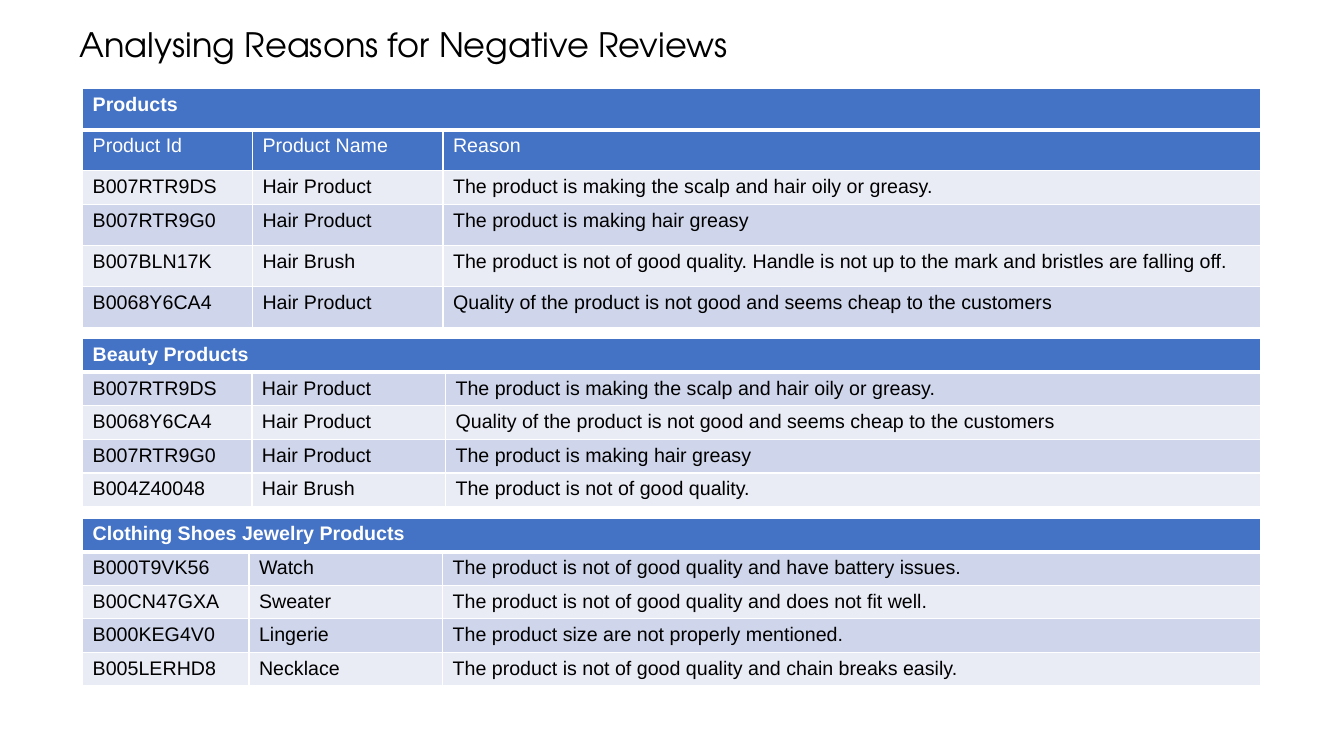
from pptx import Presentation
from pptx.dml.color import RGBColor
from pptx.enum.text import MSO_ANCHOR, MSO_AUTO_SIZE, PP_ALIGN
from pptx.oxml import parse_xml
from pptx.oxml.ns import nsdecls
from pptx.util import Pt

COLORS = {
    "header": "4472C4",
    "dark_band": "CFD5EA",
    "light_band": "E9EBF5",
    "white": "FFFFFF",
    "black": "000000",
}
TABLE_LEFT = 59.04
ROW_HEIGHT = 24
TALL_ROW_HEIGHT = 29.3

GREASY_SCALP = "The product is making the scalp and hair oily or greasy."
GREASY_HAIR = "The product is making hair greasy"
CHEAP = "Quality of the product is not good and seems cheap to the customers"

PRODUCTS = [
    ("Product Id", "Product Name", "Reason"),
    ("B007RTR9DS", "Hair Product", GREASY_SCALP),
    ("B007RTR9G0", "Hair Product", GREASY_HAIR),
    ("B007BLN17K", "Hair Brush", "The product is not of good quality. Handle is not "
     "up to the mark and bristles are falling off."),
    ("B0068Y6CA4", "Hair Product", CHEAP),
]
BEAUTY_PRODUCTS = [
    ("B007RTR9DS", "Hair Product", GREASY_SCALP),
    ("B0068Y6CA4", "Hair Product", CHEAP),
    ("B007RTR9G0", "Hair Product", GREASY_HAIR),
    ("B004Z40048", "Hair Brush", "The product is not of good quality."),
]
CLOTHING_PRODUCTS = [
    ("B000T9VK56", "Watch", "The product is not of good quality and have battery issues."),
    ("B00CN47GXA", "Sweater", "The product is not of good quality and does not fit well."),
    ("B000KEG4V0", "Lingerie", "The product size are not properly mentioned."),
    ("B005LERHD8", "Necklace", "The product is not of good quality and chain breaks easily."),
]


def color(name):
    return RGBColor.from_string(COLORS[name])


def format_font(font, name, size, color_name, bold=False):
    font.name = name
    font.size = Pt(size)
    font.bold = bold
    font.color.rgb = color(color_name)


def set_borders(cell, top, bottom):
    properties = cell._tc.get_or_add_tcPr()
    widths = {"lnL": 1, "lnR": 1, "lnT": top, "lnB": bottom}
    for index, (side, width) in enumerate(widths.items()):
        properties.insert(index, parse_xml(
            f'<a:{side} {nsdecls("a")} w="{Pt(width)}"><a:solidFill>'
            f'<a:srgbClr val="{COLORS["white"]}"/></a:solidFill></a:{side}>'))


def format_cell(cell, row, header_rows):
    """Fill and frame a cell; a thick line parts the first row from the rest."""
    is_header = row < header_rows
    band = "dark_band" if row % 2 else "light_band"
    cell.fill.solid()
    cell.fill.fore_color.rgb = color("header" if is_header else band)
    set_borders(cell, top=3 if row == 1 else 1, bottom=3 if row == 0 else 1)
    format_font(cell.text_frame.paragraphs[0].font, "Arial", 14,
                "white" if is_header else "black", bold=row == 0)


def add_title(slide, text):
    title = slide.shapes.title
    title.left, title.top, title.width, title.height = Pt(49.68), Pt(13.68), Pt(837.36), Pt(36)
    frame = title.text_frame
    frame.text = text
    frame.word_wrap = True
    frame.auto_size = MSO_AUTO_SIZE.NONE
    frame.vertical_anchor = MSO_ANCHOR.TOP
    para = frame.paragraphs[0]
    para.alignment = PP_ALIGN.LEFT
    format_font(para.font, "TeX Gyre Adventor", 24, "black")


def add_review_table(slide, top, heading, records, widths, heights, header_rows=1):
    rows = [(heading, "", ""), *records]
    table = slide.shapes.add_table(
        len(rows), len(widths), Pt(TABLE_LEFT), Pt(top),
        Pt(sum(widths)), Pt(sum(heights))).table
    table.first_row = False
    table.horz_banding = False
    for column, width in zip(table.columns, widths):
        column.width = Pt(width)
    for row, (record, height) in enumerate(zip(rows, heights)):
        table.rows[row].height = Pt(height)
        for column, text in enumerate(record):
            cell = table.cell(row, column)
            cell.text = text
            format_cell(cell, row, header_rows)
    table.cell(0, 0).merge(table.cell(0, len(widths) - 1))


def main():
    deck = Presentation()
    deck.slide_width, deck.slide_height = Pt(960), Pt(540)
    slide = deck.slides.add_slide(deck.slide_layouts[5])
    add_title(slide, "Analysing Reasons for Negative Reviews")

    product_heights = [TALL_ROW_HEIGHT] * 6
    product_heights[2] = ROW_HEIGHT
    even_heights = [ROW_HEIGHT] * 5
    add_review_table(slide, 63.36, "Products", PRODUCTS,
                     (121.3, 136.1, 583.9), product_heights, header_rows=2)
    add_review_table(slide, 241.92, "Beauty Products", BEAUTY_PRODUCTS,
                     (120.9, 138.3, 582.1), even_heights)
    add_review_table(slide, 370.08, "Clothing Shoes Jewelry Products", CLOTHING_PRODUCTS,
                     (118.8, 138.3, 584.2), even_heights)
    deck.save("out.pptx")


if __name__ == "__main__":
    main()
